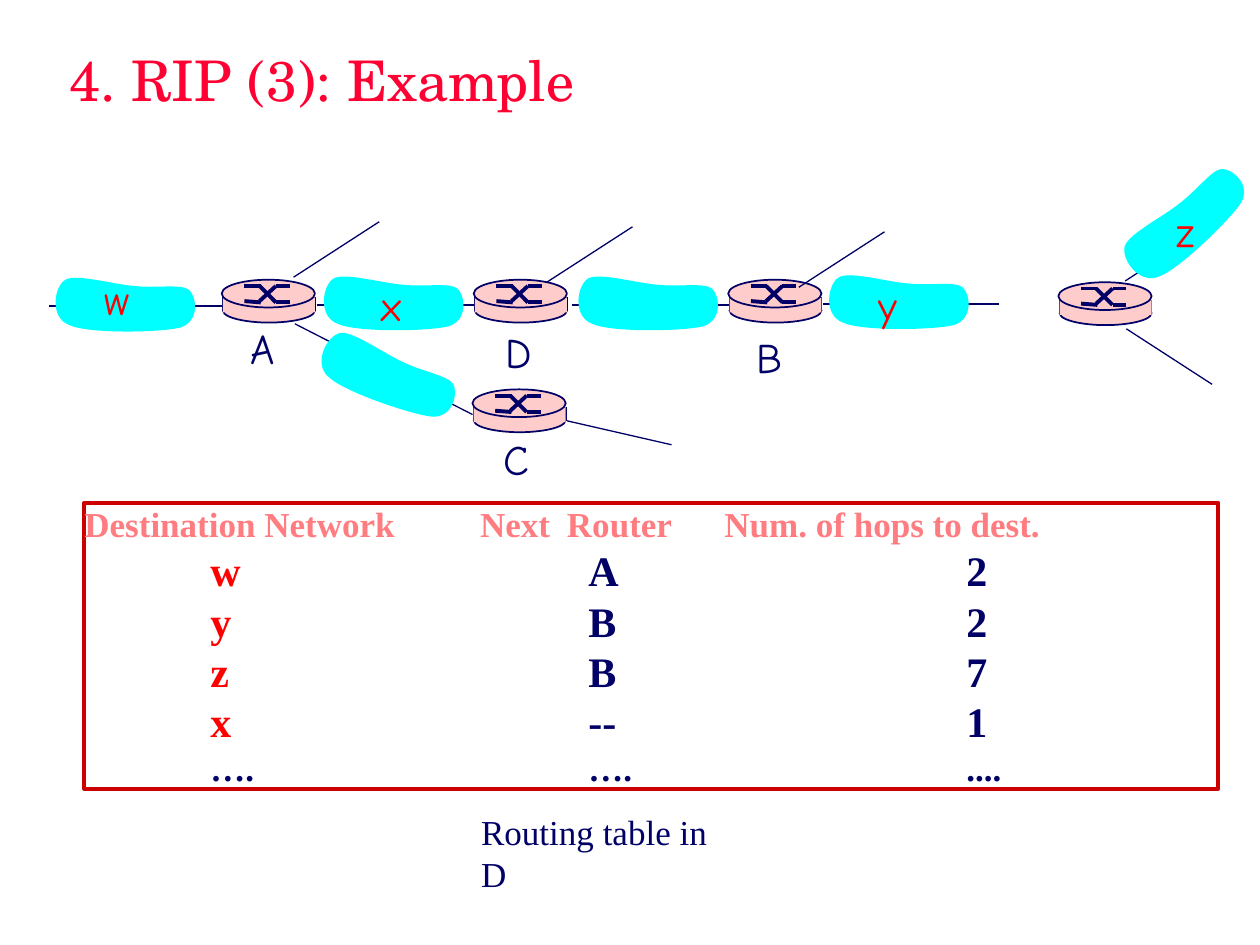
from lxml import etree
from pptx import Presentation, util as u
from pptx.dml.color import RGBColor
from pptx.enum import shapes, text
from pptx.oxml.ns import qn

NAVY, RED, PINK, CYAN = "000066", "FF0000", "FFCCCC", "00FFFF"

# Cloud outline in hundredths of an inch: a start, then cubic curves
CLOUD_SIZE = (120, 48)
CLOUD_START = (68, 10)
CLOUD_CURVES = [
    [(52, 9), (22, 0), (13, 5)],
    [(4, 10), (0, 35), (16, 41)],
    [(31, 48), (88, 47), (104, 43)],
    [(120, 38), (117, 18), (111, 13)],
    [(105, 8), (84, 12), (68, 10)],
]

# Crossing arrows on a router, relative to its top left corner
ROUTER_SYMBOL = [
    (0.18, 0.05, 0.31, 0.05), (0.43, 0.18, 0.54, 0.18),
    (0.30, 0.05, 0.43, 0.18), (0.18, 0.17, 0.31, 0.18),
    (0.43, 0.05, 0.54, 0.05), (0.30, 0.17, 0.43, 0.05),
]


def color(value):
    return RGBColor.from_string(value)


def inches(*values):
    return [u.Inches(value) for value in values]


class SlideBuilder:
    label = {"name": "Comic Neue", "size": u.Pt(24)}
    caption = {"name": "Times New Roman", "size": u.Pt(20)}
    title = {"name": "TeX Gyre Schola", "size": u.Pt(32)}
    header = {"name": "Times New Roman", "size": u.Pt(20), "bold": True}
    entry = {**header, "size": u.Pt(24)}

    def __init__(self, slide):
        self.slide = slide

    def paint(self, shape, fill=None, line=None, width=1):
        shape.shadow.inherit = False
        if fill:
            shape.fill.solid()
            shape.fill.fore_color.rgb = color(fill)
        else:
            shape.fill.background()
        if line:
            shape.line.color.rgb = color(line)
            shape.line.width = u.Pt(width)
        else:
            shape.line.fill.background()

    def shape(self, kind, box, parent=None, **paint):
        shape = (parent or self.slide).shapes.add_shape(kind, *inches(*box))
        self.paint(shape, **paint)
        return shape

    def line(self, ends, width=1, parent=None):
        connector = (parent or self.slide).shapes.add_connector(
            shapes.MSO_CONNECTOR.STRAIGHT, *inches(*ends))
        connector.line.color.rgb = color(NAVY)
        connector.line.width = u.Pt(width)
        etree.SubElement(connector._element.spPr, qn("a:effectLst"))

    def run(self, paragraph, content, style, ink):
        run = paragraph.add_run()
        run.text = content
        run.font.color.rgb = color(ink)
        for name, value in style.items():
            setattr(run.font, name, value)

    def text(self, content, box, style, ink, wrap=False):
        frame = self.slide.shapes.add_textbox(*inches(*box)).text_frame
        frame.word_wrap = wrap
        if wrap:
            frame.vertical_anchor = text.MSO_ANCHOR.MIDDLE
        else:
            frame.auto_size = text.MSO_AUTO_SIZE.SHAPE_TO_FIT_TEXT
        self.run(frame.paragraphs[0], content, style, ink)

    def router(self, left, top):
        group = self.slide.shapes.add_group_shape()
        oval = shapes.MSO_SHAPE.OVAL
        self.shape(oval, (left + 0.01, top + 0.15, 0.73, 0.19), group, fill=PINK, line=NAVY)
        for x in (left + 0.01, left + 0.74):
            self.line((x, top + 0.14, x, top + 0.25), parent=group)
        self.shape(shapes.MSO_SHAPE.RECTANGLE, (left + 0.01, top + 0.14, 0.73, 0.12),
                   group, fill=PINK)
        self.shape(oval, (left, top, 0.74, 0.22), group, fill=PINK, line=NAVY)
        for x1, y1, x2, y2 in ROUTER_SYMBOL:
            self.line((left + x1, top + y1, left + x2, top + y2), 2.25, group)

    def cloud(self, left, top, rotation=0):
        width, height = CLOUD_SIZE
        builder = self.slide.shapes.build_freeform(0, 0, scale=u.Inches(0.01))
        builder.add_line_segments([(width, 0), (width, height), (0, height)])
        shape = builder.convert_to_shape(*inches(left, top))
        # Swap the straight outline for curves
        outline = next(shape._element.iter(qn("a:path")))
        for child in list(outline):
            outline.remove(child)
        outline.set("w", str(width))
        outline.set("h", str(height))
        segments = [("a:moveTo", [CLOUD_START])]
        segments += [("a:cubicBezTo", points) for points in CLOUD_CURVES]
        for tag, points in segments:
            segment = etree.SubElement(outline, qn(tag))
            for x, y in points:
                etree.SubElement(segment, qn("a:pt"), x=str(x), y=str(y))
        etree.SubElement(outline, qn("a:close"))
        shape.rotation = rotation
        self.paint(shape, fill=CYAN)

    def tabbed(self, paragraph, stops, pieces, style):
        paragraph.alignment = text.PP_ALIGN.LEFT
        tabs = etree.SubElement(paragraph._p.get_or_add_pPr(), qn("a:tabLst"))
        for stop in stops:
            etree.SubElement(tabs, qn("a:tab"), pos=str(u.Inches(stop)), algn="l")
        for content, ink in pieces:
            self.run(paragraph, content, style, ink)

    def routing_table(self, box, headings, rows):
        frame = self.shape(shapes.MSO_SHAPE.RECTANGLE, box, line="CC0000", width=2.25).text_frame
        frame.word_wrap = True
        frame.vertical_anchor = text.MSO_ANCHOR.TOP
        for side in ("left", "top", "right", "bottom"):
            setattr(frame, f"margin_{side}", 0)
        self.tabbed(frame.paragraphs[0], (3.14, 3.83, 5.08),
                    [("\t".join(headings), "FF7C80")], self.header)
        for network, router, hops in rows:
            more = network == "…."
            pieces = [(f"\t{network}", NAVY if more else RED), (f"\t{router}\t{hops}", NAVY)]
            self.tabbed(frame.add_paragraph(), (1, 4, 7), pieces,
                        self.header if more else self.entry)


def main():
    presentation = Presentation()
    presentation.slide_width, presentation.slide_height = inches(10, 7.5)
    builder = SlideBuilder(presentation.slides.add_slide(presentation.slide_layouts[6]))

    builder.text("4. RIP (3): Example", (0.45, 0, 8.5, 1.25), builder.title, "FF0033", wrap=True)

    # Level wires between routers
    for left, y in [(0.39, 2.43), (2.52, 2.42), (4.54, 2.42), (6.53, 2.41)]:
        builder.line((left, y, left + 1.4, y))

    # Routers A, D, B, C and the far one
    for place in [(1.76, 2.22), (3.76, 2.22), (5.78, 2.22), (3.75, 3.09), (8.4, 2.24)]:
        builder.router(*place)

    # Slanted links, all with the same run and slope
    for left, top, rise in [(2.33, 2.2, -0.44), (4.34, 2.24, -0.44), (6.34, 2.28, -0.44),
                            (8.93, 2.23, -0.44), (8.94, 2.61, 0.44)]:
        builder.line((left, top, left + 0.68, top + rise), 0.75)
    # Links on either side of router C
    builder.line((2.34, 2.57, 3.75, 3.29), 0.75)
    builder.line((4.5, 3.34, 5.33, 3.53), 0.75)

    # Networks
    for cloud in [(0.39, 2.17), (2.52, 2.16), (4.54, 2.16), (6.53, 2.15),
                  (2.48, 2.74, 19.7), (8.8, 1.53, 316.8)]:
        builder.cloud(*cloud)

    # Network and router names
    for name, left, top, width, ink in [
        ("w", 0.73, 2.12, 0.4, RED), ("x", 2.93, 2.17, 0.36, RED),
        ("y", 6.87, 2.17, 0.35, RED), ("z", 9.24, 1.58, 0.34, RED),
        ("A", 1.89, 2.51, 0.39, NAVY), ("C", 3.9, 3.39, 0.4, NAVY),
        ("D", 3.91, 2.54, 0.41, NAVY), ("B", 5.91, 2.58, 0.4, NAVY),
    ]:
        builder.text(name, (left, top, width, 0.5), builder.label, ink)

    # Routing table and caption
    builder.routing_table(
        (0.67, 3.99, 9, 2.27),
        ["Destination Network", "Next", "Router", "Num. of hops to dest."],
        [("w", "A", "2"), ("y", "B", "2"), ("z", "B", "7"), ("x", "--", "1"),
         ("….", "….", "....")])
    builder.text("Routing table in D", (3.72, 6.38, 2.26, 0.44), builder.caption, NAVY)

    presentation.save("out.pptx")


if __name__ == "__main__":
    main()
